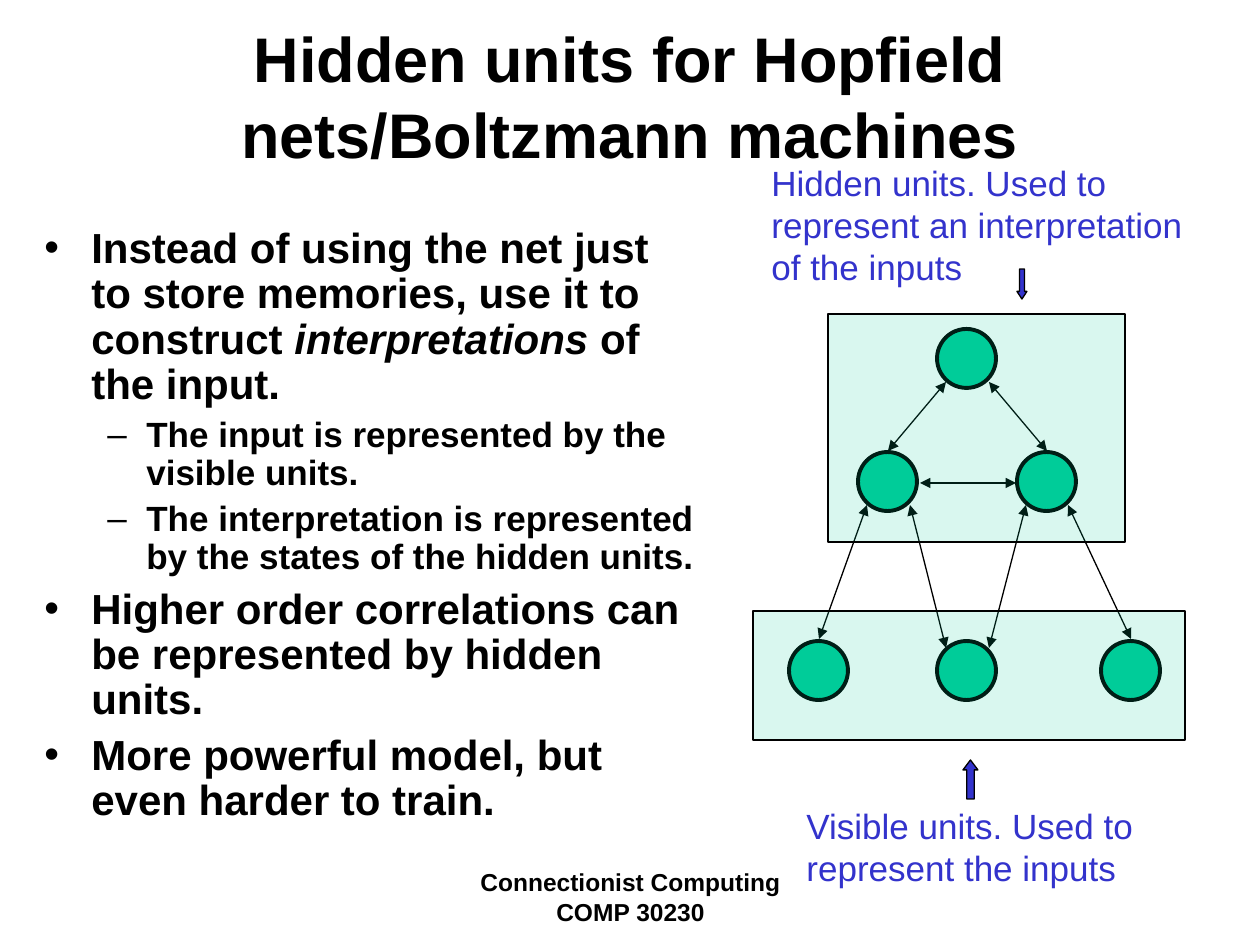
from lxml.etree import SubElement
from pptx import Presentation
from pptx.dml.color import RGBColor
from pptx.enum.shapes import MSO_CONNECTOR, MSO_SHAPE
from pptx.enum.text import MSO_ANCHOR, PP_ALIGN
from pptx.oxml.ns import qn
from pptx.util import Emu, Pt

SCALE = 914400 / 126
BLACK, GREEN, BLUE = "000000", "00CC99", "3333CC"


def lengths(*pixels):
    return [Emu(round(value * SCALE)) for value in pixels]


def color(value):
    return RGBColor.from_string(value)


presentation = Presentation()
presentation.slide_width, presentation.slide_height = lengths(1260, 945)
slide = presentation.slides.add_slide(presentation.slide_layouts[6])
shapes = slide.shapes

# Bulleted text: level and runs, every second run is italic
body_frame = shapes.add_textbox(*lengths(32, 221, 679, 651)).text_frame
body_frame.word_wrap = True
bullets = [
    (0, ["Instead of using the net just to store memories, use it to construct ",
         "interpretations", " of the input."]),
    (1, ["The input is represented by the visible units."]),
    (1, ["The interpretation is represented by the states of the hidden units."]),
    (0, ["Higher order correlations can be represented by hidden units."]),
    (0, ["More powerful model, but even harder to train."]),
]
# Per level: bullet, left margin, indent, size, space before
levels = [("•", 47, -47, 24, 6), ("–", 102, -39, 20, 5)]
for index, (level, texts) in enumerate(bullets):
    paragraph = body_frame.add_paragraph() if index else body_frame.paragraphs[0]
    bullet, margin, indent, size, space = levels[level]
    paragraph.level = level
    paragraph.line_spacing = 0.9
    paragraph.space_before = Pt(space)
    paragraph.font.name, paragraph.font.size = "Arial", Pt(size)
    paragraph.font.bold = True
    paragraph.font.color.rgb = color(BLACK)
    for position, text in enumerate(texts):
        run = paragraph.add_run()
        run.text = text
        if position % 2:
            run.font.italic = True
    properties = paragraph._p.get_or_add_pPr()
    margin, indent = lengths(margin, indent)
    properties.set("marL", str(margin))
    properties.set("indent", str(indent))
    bullet_color = SubElement(properties, qn("a:buClr"))
    SubElement(bullet_color, qn("a:srgbClr"), val=BLACK)
    SubElement(properties, qn("a:buFont"), typeface="Arial")
    SubElement(properties, qn("a:buChar"), char=bullet)
    # Default run properties come after the bullet
    properties.append(properties.find(qn("a:defRPr")))

# Network units
for left, top in [(789, 641), (937, 641), (1101, 641),
                  (858, 452), (1017, 452), (937, 329)]:
    unit = shapes.add_shape(MSO_SHAPE.OVAL, *lengths(left, top, 59, 59))
    unit.shadow.inherit = False
    unit.fill.solid()
    unit.fill.fore_color.rgb = color(GREEN)
    unit.line.color.rgb = color(BLACK)
    unit.line.width = Pt(2.25)

# Two-way connections
for ends in [(888, 451, 946, 382), (989, 382, 1047, 451), (819, 639, 867, 505),
             (920, 483, 1016, 483), (910, 505, 946, 648), (989, 648, 1026, 505),
             (1068, 505, 1131, 639)]:
    link = shapes.add_connector(MSO_CONNECTOR.STRAIGHT, *lengths(*ends))
    link.line.color.rgb = color(BLACK)
    link.line.width = Pt(0.75)
    line = link.line._get_or_add_ln()
    for end in ("a:headEnd", "a:tailEnd"):
        SubElement(line, qn(end), type="triangle")
    SubElement(link._element.spPr, qn("a:effectLst"))

# Translucent layer frames and pointer arrows: kind, place, fill, opacity, arrowhead
for kind, place, fill, opacity, head in [
    (MSO_SHAPE.RECTANGLE, (753, 611, 432, 129), GREEN, 15, None),
    (MSO_SHAPE.RECTANGLE, (828, 314, 297, 228), GREEN, 15, None),
    (MSO_SHAPE.UP_ARROW, (963, 760, 15, 39), BLUE, 100, 0.665),
    (MSO_SHAPE.DOWN_ARROW, (1017, 269, 10, 30), BLUE, 100, 0.758),
]:
    shape = shapes.add_shape(kind, *lengths(*place))
    shape.shadow.inherit = False
    shape.fill.solid()
    shape.fill.fore_color.rgb = color(fill)
    shape.line.color.rgb = color(BLACK)
    shape.line.width = Pt(0.75)
    if opacity < 100:
        fill_color = shape._element.spPr.find(qn("a:solidFill"))[0]
        SubElement(fill_color, qn("a:alpha"), val=str(opacity * 1000))
    if head:
        shape.adjustments[0] = 0.5
        shape.adjustments[1] = head

# Title, footer and captions: text, place, size, colour, heading style, space before
for text, place, size, text_color, heading, space in [
    ("Hidden units for Hopfield nets/Boltzmann machines",
     (63, 16, 1134, 158), 36, BLACK, True, 0),
    ("Connectionist Computing COMP 30230", (431, 861, 399, 63), 14, BLACK, True, 0),
    ("Visible units. Used to represent the inputs",
     (794, 798, 358, 97), 20, BLUE, False, 12.5),
    ("Hidden units. Used to represent an interpretation of the inputs",
     (759, 155, 437, 139), 20, BLUE, False, 12.5),
]:
    frame = shapes.add_textbox(*lengths(*place)).text_frame
    frame.word_wrap = True
    if size == 36:
        frame.vertical_anchor = MSO_ANCHOR.MIDDLE
    paragraph = frame.paragraphs[0]
    paragraph.text = text
    paragraph.alignment = PP_ALIGN.CENTER if heading else PP_ALIGN.LEFT
    paragraph.space_before = Pt(space)
    paragraph.font.name, paragraph.font.size = "Arial", Pt(size)
    paragraph.font.bold = heading
    paragraph.font.color.rgb = color(text_color)

presentation.save("out.pptx")
